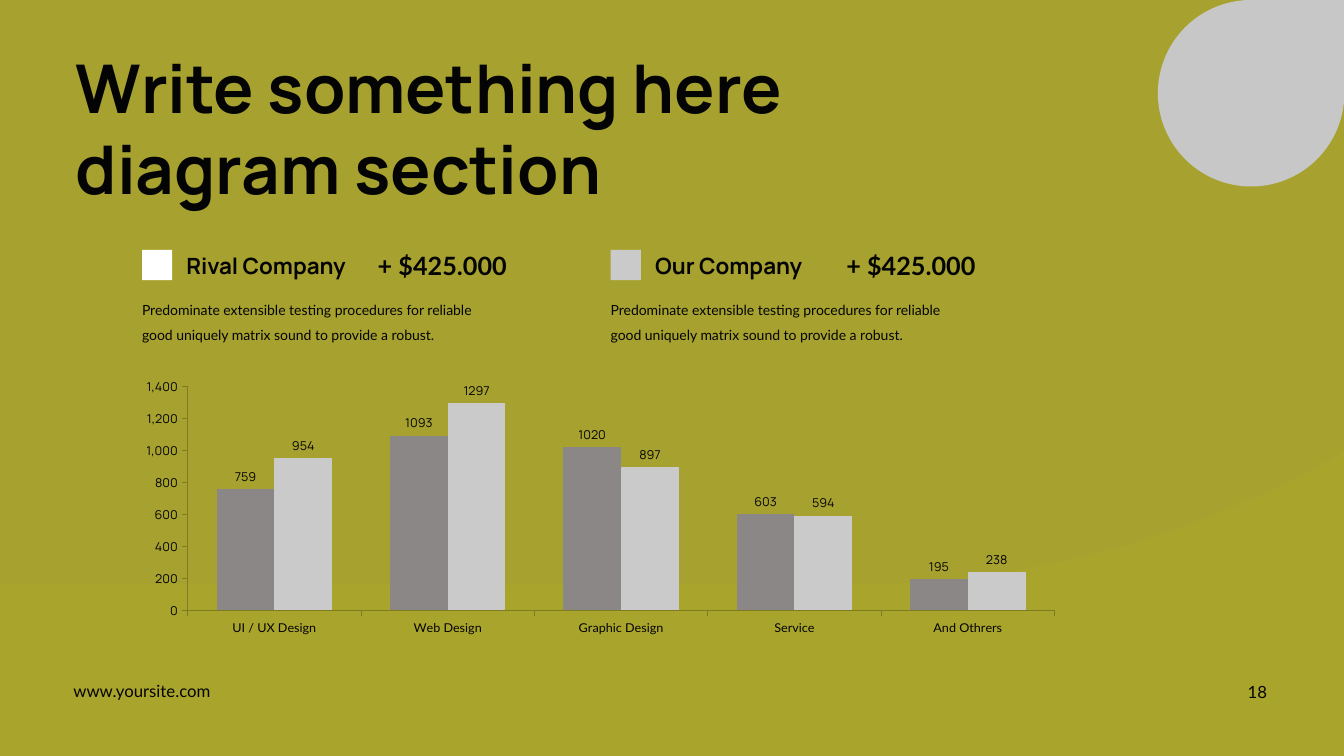
from dataclasses import dataclass

from lxml.etree import SubElement
from pptx import Presentation
from pptx.chart.data import CategoryChartData
from pptx.dml.color import RGBColor
from pptx.enum.chart import XL_CHART_TYPE, XL_LABEL_POSITION, XL_TICK_MARK
from pptx.enum.shapes import MSO_SHAPE
from pptx.enum.text import MSO_ANCHOR, MSO_AUTO_SIZE, PP_ALIGN
from pptx.oxml import parse_xml
from pptx.oxml.ns import nsdecls, qn
from pptx.util import Cm, Pt


@dataclass(frozen=True)
class Theme:
    background: str = "A9A42C"
    ink: str = "040404"
    white: str = "FFFFFF"
    silver: str = "CACACA"
    grey: str = "8C8787"
    axis: str = "7F7B21"
    heading_font: str = "Manrope"
    body_font: str = "Lato"
    title_size: int = 48
    amount_size: int = 18
    name_size: int = 16
    footer_size: int = 12
    body_size: int = 10
    chart_size: int = 9


class DiagramSlide:
    def __init__(self, slide, theme):
        self.slide = slide
        self.theme = theme
        slide.background.fill.solid()
        slide.background.fill.fore_color.rgb = RGBColor.from_string(theme.background)

    def style(self, font, size, family, bold=False):
        font.size = Pt(size)
        font.name = family
        font.bold = bold
        font.color.rgb = RGBColor.from_string(self.theme.ink)

    def title(self, wording, left, top, width, height):
        heading = self.slide.shapes.title
        # Bring the title in front of the decoration
        heading.element.getparent().append(heading.element)
        heading.left, heading.top = Cm(left), Cm(top)
        heading.width, heading.height = Cm(width), Cm(height)
        frame = heading.text_frame
        frame.word_wrap = True
        frame.auto_size = MSO_AUTO_SIZE.NONE
        frame.vertical_anchor = MSO_ANCHOR.TOP
        paragraph = frame.paragraphs[0]
        paragraph.alignment = PP_ALIGN.LEFT
        run = paragraph.add_run()
        run.text = wording
        self.style(run.font, self.theme.title_size, self.theme.heading_font, True)

    def text(self, wording, left, top, width, height, size, family=None, bold=False,
             align=PP_ALIGN.LEFT, anchor=MSO_ANCHOR.TOP, spacing=None, inset=0):
        box = self.slide.shapes.add_textbox(Cm(left), Cm(top), Cm(width), Cm(height))
        frame = box.text_frame
        frame.word_wrap = True
        frame.vertical_anchor = anchor
        frame.margin_left = frame.margin_right = Cm(inset)
        frame.margin_top = frame.margin_bottom = Cm(inset / 2)
        paragraph = frame.paragraphs[0]
        paragraph.alignment = align
        paragraph.line_spacing = spacing
        run = paragraph.add_run()
        run.text = wording
        self.style(run.font, size, family or self.theme.body_font, bold)

    def shape(self, preset, left, top, width, height, color):
        shape = self.slide.shapes.add_shape(
            preset, Cm(left), Cm(top), Cm(width), Cm(height))
        shape.shadow.inherit = False
        shape.fill.solid()
        shape.fill.fore_color.rgb = RGBColor.from_string(color)
        shape.line.fill.background()
        return shape

    def wave(self, left, top, width, height, color, opacity):
        wave = self.shape(MSO_SHAPE.TEAR, left, top, width, height, color)
        wave.rotation = 90
        properties = wave.element.spPr
        properties.find(qn("a:xfrm")).set("flipV", "1")
        tint = properties.find(qn("a:solidFill")).find(qn("a:srgbClr"))
        SubElement(tint, qn("a:alpha")).set("val", str(opacity * 1000))

    def legend(self, left, company, color, amount, description):
        theme = self.theme
        self.shape(MSO_SHAPE.RECTANGLE, left, 6.3, 0.76, 0.76, color)
        self.text(company, left + 1.12, 6.35, 4.6, 0.69, theme.name_size,
                  theme.heading_font, bold=True)
        self.text(amount, left + 5.94, 6.3, 4.06, 0.76, theme.amount_size, bold=True)
        self.text(description, left, 7.39, 8.81, 1.22, theme.body_size, spacing=1.5)

    def columns(self, categories, series, left, top, width, height, plot_area):
        theme = self.theme
        data = CategoryChartData(number_format="0")
        data.categories = categories
        for name, values, _ in series:
            data.add_series(name, values)
        chart = self.slide.shapes.add_chart(
            XL_CHART_TYPE.COLUMN_CLUSTERED, Cm(left), Cm(top), Cm(width), Cm(height),
            data).chart
        chart.has_legend = False
        chart.has_title = False
        self.style(chart.font, theme.chart_size, theme.body_font)

        # Columns and their values
        plot = chart.plots[0]
        plot.gap_width = 100
        plot.overlap = 0
        plot.vary_by_categories = False
        for columns, (_, _, color) in zip(plot.series, series):
            columns.format.fill.solid()
            columns.format.fill.fore_color.rgb = RGBColor.from_string(color)
            labels = columns.data_labels
            labels.show_value = True
            labels.position = XL_LABEL_POSITION.OUTSIDE_END
            self.style(labels.font, theme.chart_size, theme.heading_font)

        # Axes
        for axis, family in ((chart.category_axis, theme.body_font),
                             (chart.value_axis, theme.heading_font)):
            axis.has_major_gridlines = False
            axis.major_tick_mark = XL_TICK_MARK.OUTSIDE
            axis.minor_tick_mark = XL_TICK_MARK.NONE
            axis.format.line.color.rgb = RGBColor.from_string(theme.axis)
            axis.format.line.width = Pt(0.75)
            self.style(axis.tick_labels.font, theme.chart_size, family)
        scale = chart.value_axis
        scale.minimum_scale, scale.maximum_scale, scale.major_unit = 0, 1400, 200
        scale.tick_labels.number_format = "#,##0"
        scale.tick_labels.number_format_is_linked = False

        # Inner plot area as fractions of the chart
        area = chart.element.find(qn("c:chart")).find(qn("c:plotArea"))
        for automatic in area.findall(qn("c:layout")):
            area.remove(automatic)
        places = "".join(f'<c:{key} val="{value}"/>' for key, value in zip("xywh", plot_area))
        area.insert(0, parse_xml(
            f'<c:layout {nsdecls("c")}><c:manualLayout><c:layoutTarget val="inner"/>'
            f'<c:xMode val="edge"/><c:yMode val="edge"/>{places}'
            '</c:manualLayout></c:layout>'))


def main():
    theme = Theme()
    deck = Presentation()
    deck.slide_width, deck.slide_height = Cm(33.87), Cm(19.05)
    title_only = deck.slide_layouts[5]
    page = DiagramSlide(deck.slides.add_slide(title_only), theme)

    # Decoration and footer
    page.text("www.yoursite.com", 1.85, 17.15, 6.88, 0.51, theme.footer_size)
    page.shape(MSO_SHAPE.TEAR, 29.18, 0, 4.7, 4.7, theme.silver)
    page.wave(-0.74, -30.99, 44.32, 47.12, theme.grey, opacity=4)
    page.text("18", 24.56, 16.92, 7.62, 1.02, theme.footer_size,
              align=PP_ALIGN.RIGHT, anchor=MSO_ANCHOR.MIDDLE, inset=0.25)

    page.title("Write something here diagram section", 1.65, 1.04, 24.08, 4.37)

    # Companies compared
    description = ("Predominate extensible testing procedures for reliable "
                   "good uniquely matrix sound to provide a robust.")
    companies = (("Rival Company", theme.white), ("Our Company", theme.silver))
    for column, (company, color) in enumerate(companies):
        page.legend(3.58 + 11.81 * column, company, color, "+ $425.000", description)

    # Chart by service
    page.columns(
        ("UI / UX Design", "Web Design", "Graphic Design", "Service", "And Othrers"),
        (("Series 1", (759, 1093, 1020, 603, 195), theme.grey),
         ("Series 2", (954, 1297, 897, 594, 238), theme.silver)),
        3.58, 9.53, 23.01, 6.48, plot_area=(0.05, 0.01, 0.95, 0.9))

    deck.save("out.pptx")


if __name__ == "__main__":
    main()
